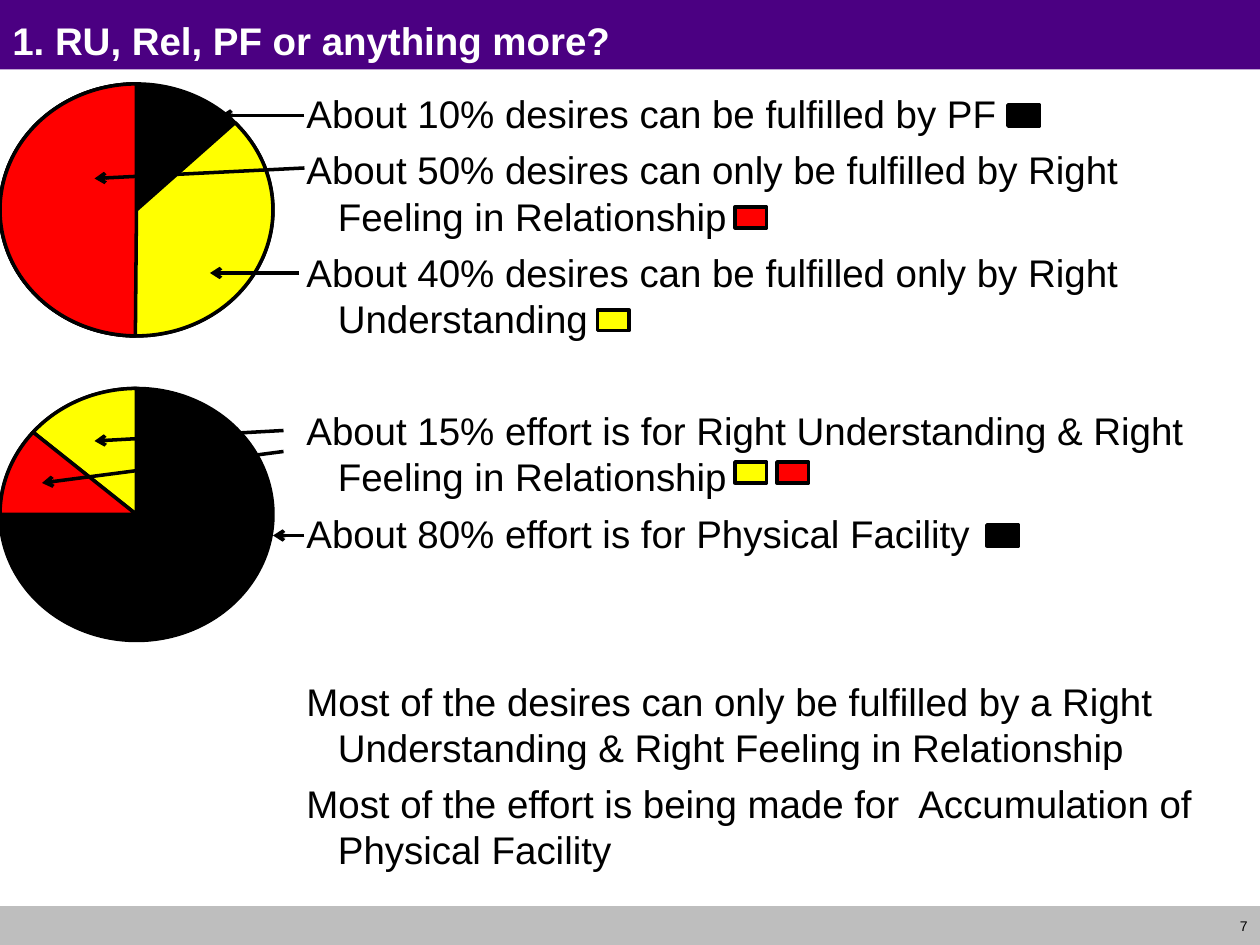
from dataclasses import dataclass

from lxml import etree
from pptx import Presentation
from pptx.dml.color import RGBColor
from pptx.enum.shapes import MSO_CONNECTOR, MSO_SHAPE
from pptx.enum.text import MSO_ANCHOR, PP_ALIGN
from pptx.oxml.ns import qn
from pptx.util import Inches, Pt

RECTANGLE, OVAL, PIE = MSO_SHAPE.RECTANGLE, MSO_SHAPE.OVAL, MSO_SHAPE.PIE
STRAIGHT = MSO_CONNECTOR.STRAIGHT
MIDDLE, TOP = MSO_ANCHOR.MIDDLE, MSO_ANCHOR.TOP
LEFT, RIGHT = PP_ALIGN.LEFT, PP_ALIGN.RIGHT
UNIT = Inches(1) / 12


@dataclass(frozen=True)
class Theme:
    """Colours, font and type sizes of the slide."""
    header: RGBColor = RGBColor(0x4B, 0x00, 0x82)
    footer: RGBColor = RGBColor(0xBE, 0xBE, 0xBE)
    white: RGBColor = RGBColor(0xFF, 0xFF, 0xFF)
    facility: RGBColor = RGBColor(0x00, 0x00, 0x00)
    relationship: RGBColor = RGBColor(0xFF, 0x00, 0x00)
    understanding: RGBColor = RGBColor(0xFF, 0xFF, 0x00)
    ink: RGBColor = RGBColor(0x00, 0x00, 0x00)
    font: str = "Arial"
    text_size: float = 22
    number_size: float = 8
    leading: float = 26.5
    spacing: float = 5.5
    line_width: float = 2


@dataclass(frozen=True)
class Box:
    """A rectangle on a grid of 120 columns by 90 rows."""
    left: float
    top: float
    width: float
    height: float

    def inner(self, left, top, width, height):
        """Return a box placed relative to this one."""
        return Box(self.left + left, self.top + top, width, height)

    def lengths(self):
        """Return left, top, width and height as slide lengths."""
        return [round(value * UNIT)
                for value in (self.left, self.top, self.width, self.height)]


THEME = Theme()


def add_filled(slide, kind, box, fill, outlined=True):
    """Add a preset shape with a flat fill and an optional outline."""
    shape = slide.shapes.add_shape(kind, *box.lengths())
    shape.shadow.inherit = False
    shape.fill.solid()
    shape.fill.fore_color.rgb = fill
    if outlined:
        shape.line.color.rgb = THEME.ink
        shape.line.width = Pt(THEME.line_width)
    else:
        shape.line.fill.background()
    return shape


def add_arrow(slide, box, start, end):
    """Add an arrow between two points relative to the box."""
    points = [round(value * UNIT) for column, row in (start, end)
              for value in (box.left + column, box.top + row)]
    connector = slide.shapes.add_connector(STRAIGHT, *points)
    connector.line.color.rgb = THEME.ink
    connector.line.width = Pt(THEME.line_width)
    properties = connector.line._get_or_add_ln()
    etree.SubElement(properties, qn("a:tailEnd"), type="arrow")
    etree.SubElement(connector._element.spPr, qn("a:effectLst"))


def add_text_frame(slide, box, anchor=TOP):
    """Add a wrapping text box and return its frame."""
    frame = slide.shapes.add_textbox(*box.lengths()).text_frame
    frame.word_wrap = True
    frame.vertical_anchor = anchor
    return frame


def write(paragraph, text, color, size, bold=False, align=LEFT):
    """Write one run into a paragraph."""
    paragraph.alignment = align
    run = paragraph.add_run()
    run.text = text
    run.font.name = THEME.font
    run.font.size = Pt(size)
    run.font.bold = bold
    run.font.color.rgb = color


def add_header(slide, box, title):
    """Place the title band."""
    add_filled(slide, RECTANGLE, box, THEME.header, outlined=False)
    paragraph = add_text_frame(slide, box.inner(0, 1, box.width, 5)).paragraphs[0]
    paragraph.line_spacing = Pt(THEME.leading)
    write(paragraph, title, THEME.white, THEME.text_size, bold=True)


def add_footer(slide, box, number):
    """Place the footer band and the slide number."""
    add_filled(slide, RECTANGLE, box, THEME.footer, outlined=False)
    number_box = box.inner(box.width - 5.6, 0, 5.6, box.height)
    frame = add_text_frame(slide, number_box, MIDDLE)
    write(frame.paragraphs[0], number, THEME.ink, THEME.number_size, align=RIGHT)


def add_pie(slide, box, wedges, arrows):
    """Place a black disc, its coloured wedges and the arrows into them."""
    disc = box.inner(0, 0, 26, box.height)
    add_filled(slide, OVAL, disc, THEME.facility)
    for color, start, end in wedges:
        wedge = add_filled(slide, PIE, disc, color)
        for index, degrees in enumerate((start, end)):
            wedge.adjustments[index] = degrees * 0.6
    for start, end in arrows:
        add_arrow(slide, box, start, end)


def add_statements(slide, box, statements, swatches):
    """Place the statements, each after its skipped lines, and the colour keys."""
    frame = add_text_frame(slide, box)
    for index, (skipped, text) in enumerate(statements):
        paragraph = frame.add_paragraph() if index else frame.paragraphs[0]
        properties = paragraph._p.get_or_add_pPr()
        properties.set("marL", str(Inches(0.25)))
        properties.set("indent", str(Inches(-0.25)))
        paragraph.line_spacing = Pt(THEME.leading)
        if index:
            gap = THEME.spacing + skipped * (THEME.leading + THEME.spacing)
            paragraph.space_before = Pt(gap)
        write(paragraph, text, THEME.ink, THEME.text_size)
    for color, column, row in swatches:
        add_filled(slide, RECTANGLE, box.inner(column, row, 3, 2), color)


def main():
    """Build and save the slide."""
    presentation = Presentation()
    presentation.slide_width, presentation.slide_height = Inches(10), Inches(7.5)
    slide = presentation.slides.add_slide(presentation.slide_layouts[6])

    add_header(slide, Box(0, 0, 120, 6.6), "1. RU, Rel, PF or anything more?")
    add_footer(slide, Box(0, 86.3, 120, 3.7), "7")
    add_pie(
        slide, Box(0, 8, 29, 24),
        [(THEME.understanding, 318.5, 270), (THEME.relationship, 90.5, 270)],
        [((29, 3), (21, 3)), ((29, 8), (9, 9)), ((28.5, 18), (20, 18))])
    add_pie(
        slide, Box(0, 37, 29, 24),
        [(THEME.understanding, 218.5, 270), (THEME.relationship, 180, 218.5)],
        [((29, 14), (26, 14)), ((27, 4), (9, 5)), ((27, 6), (4, 9))])
    add_statements(
        slide, Box(28, 8, 92, 78),
        [(0, "About 10% desires can be fulfilled by PF"),
         (0, "About 50% desires can only be fulfilled by Right Feeling in Relationship"),
         (0, "About 40% desires can be fulfilled only by Right Understanding"),
         (1, "About 15% effort is for Right Understanding & Right Feeling in Relationship"),
         (0, "About 80% effort is for Physical Facility"),
         (2, "Most of the desires can only be fulfilled by a Right "
             "Understanding & Right Feeling in Relationship"),
         (0, "Most of the effort is being made for  Accumulation of Physical Facility")],
        [(THEME.facility, 68, 2), (THEME.relationship, 42, 11.7),
         (THEME.understanding, 28.9, 21.5), (THEME.understanding, 42, 36),
         (THEME.relationship, 46, 36), (THEME.facility, 66, 42)])

    presentation.save("out.pptx")


if __name__ == "__main__":
    main()
